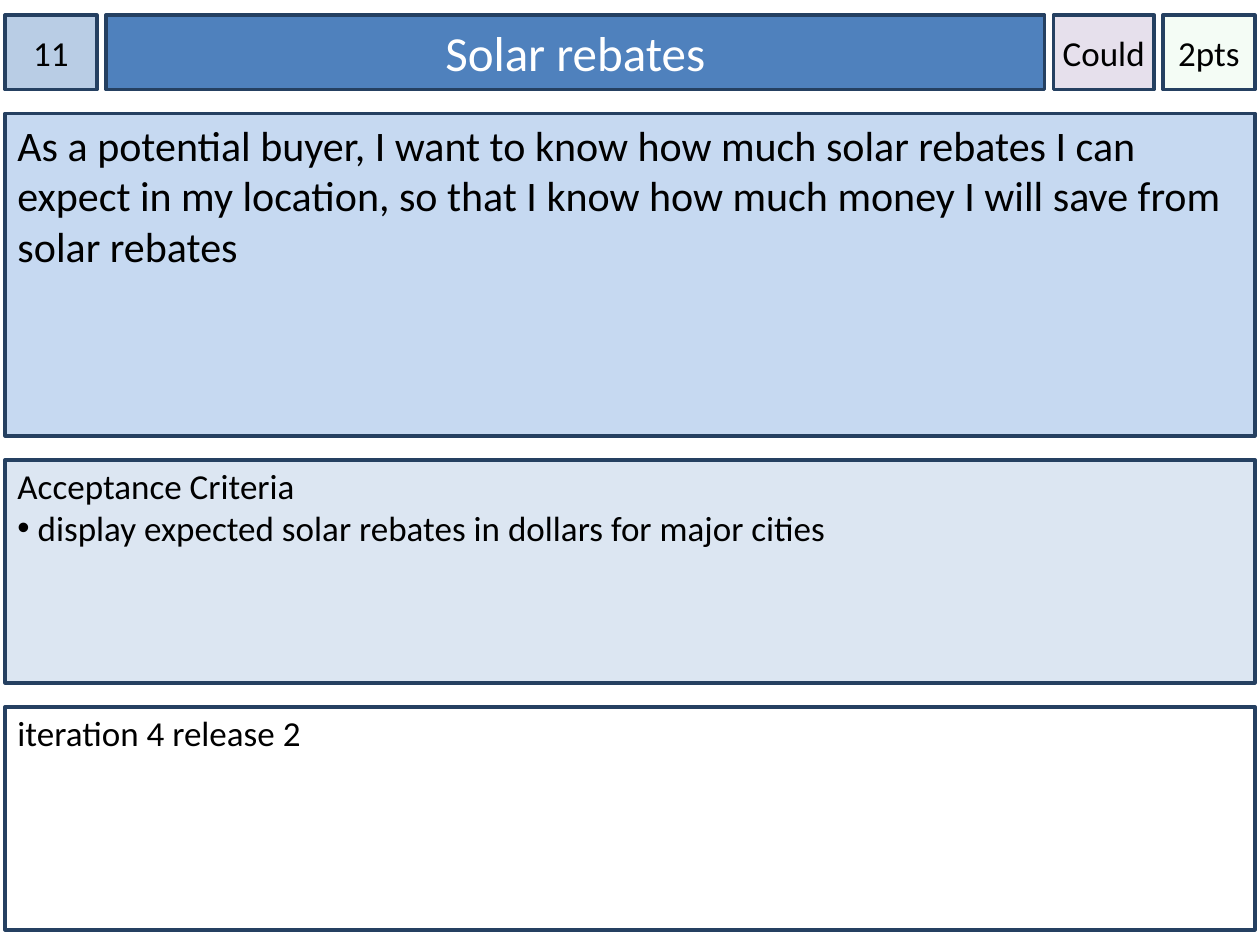
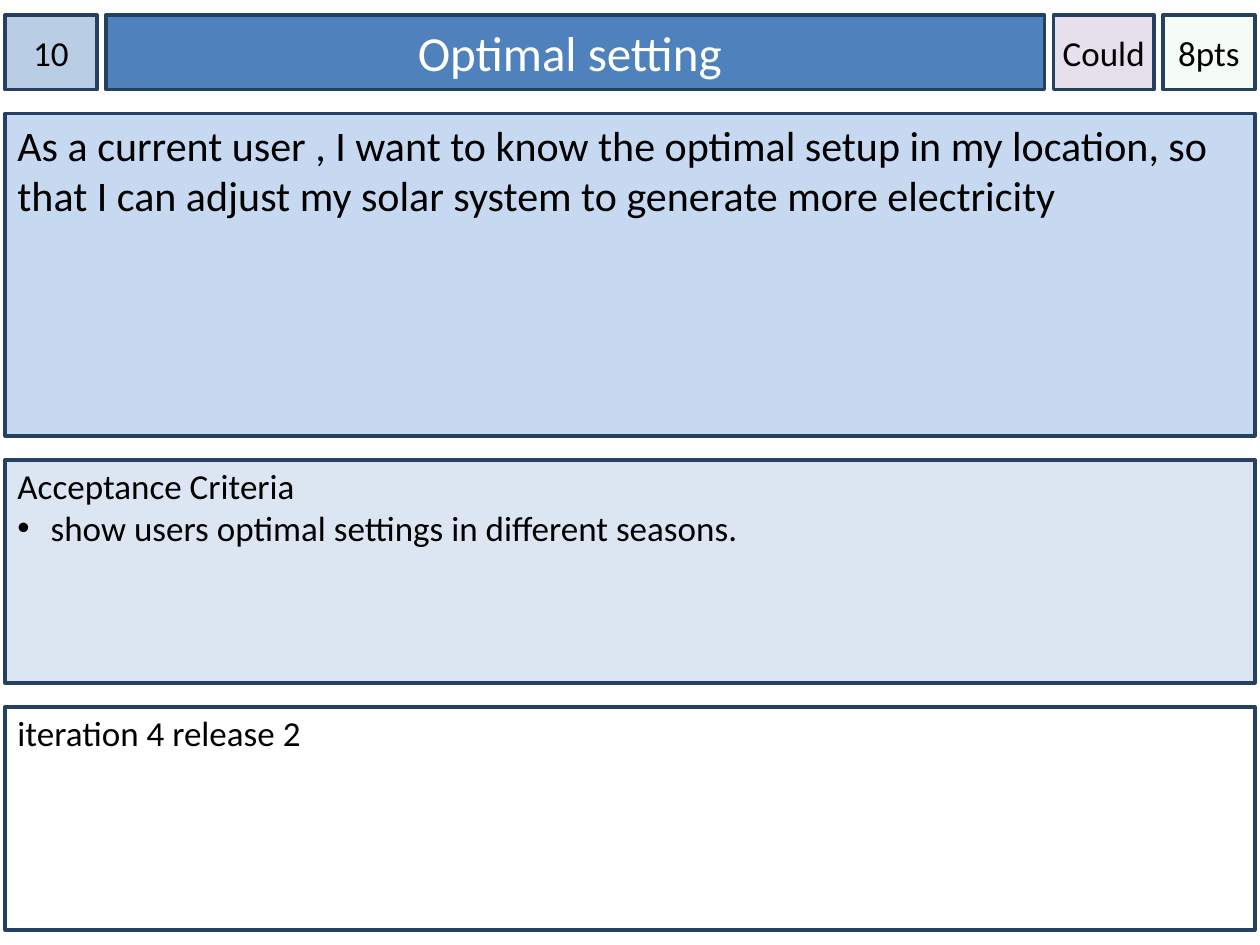
from dataclasses import dataclass

from lxml.etree import SubElement
from pptx import Presentation
from pptx.dml.color import RGBColor
from pptx.enum.shapes import MSO_SHAPE
from pptx.enum.text import MSO_ANCHOR, MSO_AUTO_SIZE, PP_ALIGN
from pptx.oxml.ns import qn
from pptx.util import Inches, Pt


@dataclass(frozen=True)
class Theme:
    font: str = "Calibri"
    title_size: int = 28
    story_size: int = 24
    label_size: int = 20
    text: str = "000000"
    title_text: str = "FFFFFF"
    border: str = "254061"
    border_width: int = 2
    number_fill: str = "B9CDE5"
    title_fill: str = "4F81BD"
    priority_fill: str = "E6E0EC"
    points_fill: str = "CCF0CD"
    points_opacity: int = 20
    story_fill: str = "C6D9F1"
    criteria_fill: str = "DCE6F2"
    plan_fill: str = "FFFFFF"


@dataclass(frozen=True)
class Story:
    number: str
    title: str
    priority: str
    points: str
    text: str
    criterion: str
    plan: str
    hanging: float = 0


THEME = Theme()
CARD_LEFT, CARD_TOP, CARD_WIDTH = 0.04, 0.12, 9.92
COLUMN_GAP, ROW_GAP = 0.07, 0.19
HEADER_WIDTHS = (0.73, 7.45, 0.8, 0.73)
ROW_HEIGHTS = (0.59, 2.56, 1.77, 1.77)
LABEL_INSETS = (0, 0.05, 0, 0.05)
STORY_INSETS = (0.1, 0.05, 0.1, 0.05)
NOTE_INSETS = (0.1, 0.04, 0.1, 0.05)

STORIES = (
    Story("11", "Solar rebates", "Could", "2pts",
          "As a potential buyer, I want to know how much solar rebates I can "
          "expect in my location, so that I know how much money I will save "
          "from solar rebates",
          " display expected solar rebates in dollars for major cities",
          "iteration 4 release 2"),
    Story("10", "Optimal setting ", "Could", "8pts",
          "As a current user , I want to know the optimal setup in my location, "
          "so that I can adjust my solar system to generate more electricity",
          " show users optimal settings in different seasons.",
          "iteration 4 release 2", hanging=0.2),
)


def spans(start, sizes, gap):
    """Pair each size with its start, leaving an equal gap between them."""
    placed = []
    for size in sizes:
        placed.append((start, size))
        start += size + gap
    return placed


def add_panel(slide, box):
    panel = slide.shapes.add_shape(MSO_SHAPE.RECTANGLE, *map(Inches, box))
    panel.shadow.inherit = False
    return panel


def style_panel(panel, fill):
    panel.fill.solid()
    panel.fill.fore_color.rgb = RGBColor.from_string(fill)
    panel.line.color.rgb = RGBColor.from_string(THEME.border)
    panel.line.width = Pt(THEME.border_width)


def write(panel, lines, size, insets, color=THEME.text, centred=False, wrap=True):
    frame = panel.text_frame
    frame.text = "\n".join(lines)
    frame.auto_size = MSO_AUTO_SIZE.NONE
    frame.word_wrap = wrap
    (frame.margin_left, frame.margin_top,
     frame.margin_right, frame.margin_bottom) = map(Inches, insets)
    frame.vertical_anchor = MSO_ANCHOR.MIDDLE if centred else MSO_ANCHOR.TOP
    for paragraph in frame.paragraphs:
        paragraph.alignment = PP_ALIGN.CENTER if centred else PP_ALIGN.LEFT
        for run in paragraph.runs:
            run.font.name = THEME.font
            run.font.size = Pt(size)
            run.font.color.rgb = RGBColor.from_string(color)


def add_bullet(paragraph, hanging):
    properties = paragraph._p.get_or_add_pPr()
    properties.set("marL", str(Inches(hanging)))
    properties.set("indent", str(-Inches(hanging)))
    SubElement(properties, qn("a:buFont"), typeface="Arial")
    SubElement(properties, qn("a:buChar"), char="•")


def set_opacity(panel, percent):
    color = panel.fill._xPr.find(qn("a:solidFill"))[0]
    SubElement(color, qn("a:alpha"), val=str(percent * 1000))


def add_label(slide, box, text, fill, wrap=True):
    label = add_panel(slide, box)
    style_panel(label, fill)
    write(label, [text], THEME.label_size, LABEL_INSETS, centred=True, wrap=wrap)
    return label


def add_title(slide, box, text):
    title = slide.shapes.title
    title.left, title.top, title.width, title.height = map(Inches, box)
    style_panel(title, THEME.title_fill)
    write(title, [text], THEME.title_size, STORY_INSETS,
          color=THEME.title_text, centred=True)


def add_header(slide, box, story):
    left, top, _, height = box
    number_box, title_box, priority_box, points_box = [
        (x, top, width, height)
        for x, width in spans(left, HEADER_WIDTHS, COLUMN_GAP)]
    add_label(slide, number_box, story.number, THEME.number_fill)
    add_title(slide, title_box, story.title)
    add_label(slide, priority_box, story.priority, THEME.priority_fill, wrap=False)
    points = add_label(slide, points_box, story.points, THEME.points_fill)
    set_opacity(points, THEME.points_opacity)


def add_body(slide, box, lines, fill, size=THEME.label_size, insets=NOTE_INSETS):
    body = add_panel(slide, box)
    style_panel(body, fill)
    write(body, lines, size, insets)
    return body


def add_criteria(slide, box, story):
    criteria = add_body(slide, box, ["Acceptance Criteria", story.criterion],
                        THEME.criteria_fill)
    add_bullet(criteria.text_frame.paragraphs[1], story.hanging)


def add_story_card(slide, story):
    header_box, story_box, criteria_box, plan_box = [
        (CARD_LEFT, y, CARD_WIDTH, height)
        for y, height in spans(CARD_TOP, ROW_HEIGHTS, ROW_GAP)]
    add_header(slide, header_box, story)
    add_body(slide, story_box, [story.text], THEME.story_fill,
             THEME.story_size, STORY_INSETS)
    add_criteria(slide, criteria_box, story)
    add_body(slide, plan_box, [story.plan], THEME.plan_fill)


def main():
    deck = Presentation()
    deck.slide_width, deck.slide_height = Inches(10), Inches(7.5)
    title_only = deck.slide_layouts.get_by_name("Title Only")
    for story in STORIES:
        add_story_card(deck.slides.add_slide(title_only), story)
    deck.save("out.pptx")


if __name__ == "__main__":
    main()
